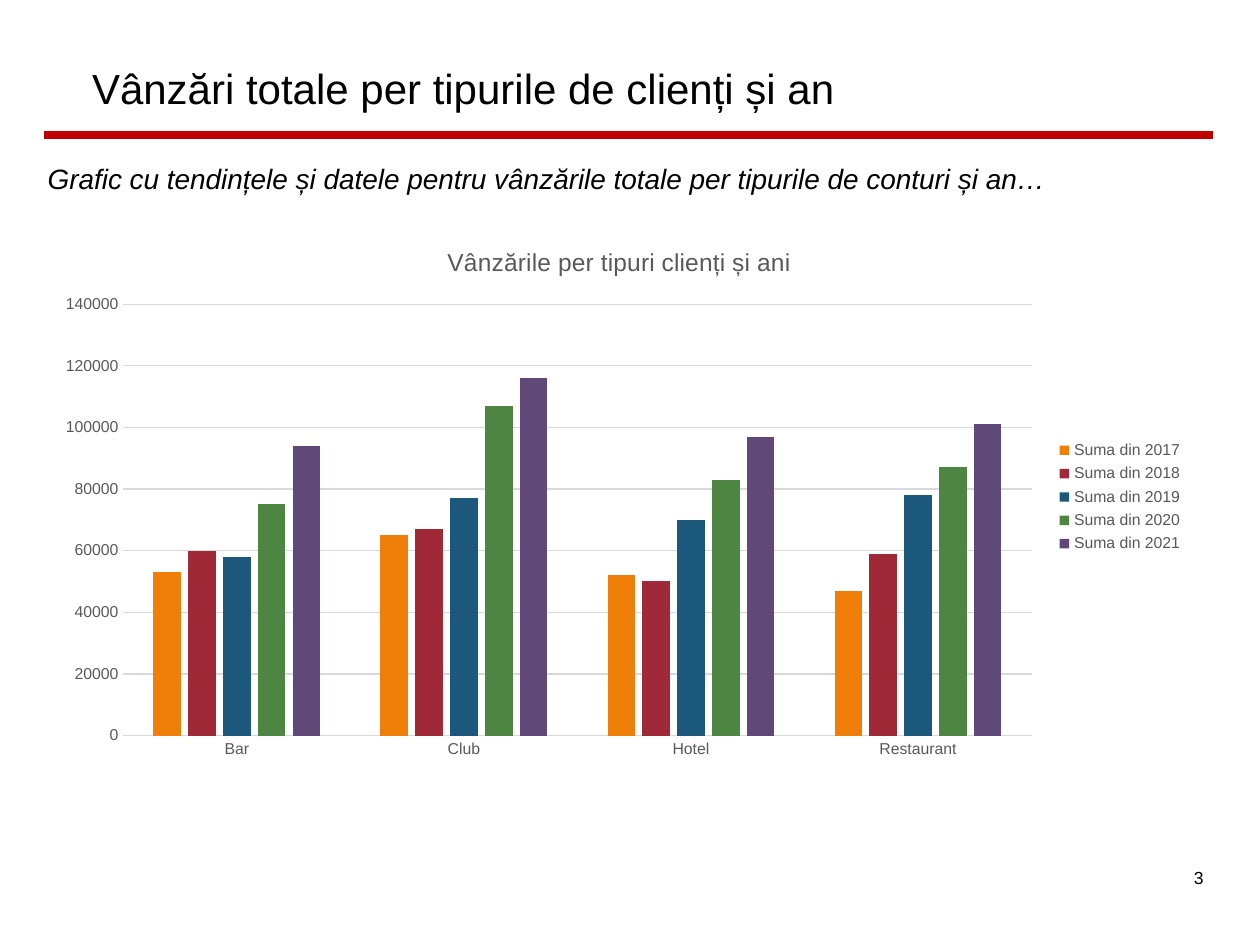
import pptx
import pptx.chart.data
import pptx.dml.color
import pptx.enum.chart
import pptx.enum.shapes
import pptx.enum.text
import pptx.oxml
import pptx.util
from pptx.util import Inches

FONT = "Arial"
BLACK, GREY, GRID_GREY, RED = "000000", "595959", "D9D9D9", "C00000"

CLIENT_TYPES = ["Bar", "Club", "Hotel", "Restaurant"]
# year: (bar colour, sales per client type)
SALES = {
    2017: ("F07F09", (53000, 65000, 52000, 47000)),
    2018: ("9F2936", (60000, 67000, 50000, 59000)),
    2019: ("1B587C", (58000, 77000, 70000, 78000)),
    2020: ("4E8542", (75000, 107000, 83000, 87000)),
    2021: ("604878", (94000, 116000, 97000, 101000)),
}


def color(hex_value):
    return pptx.dml.color.RGBColor.from_string(hex_value)


def set_values(target, values):
    for name, value in values.items():
        setattr(target, name, value)


def format_font(font, size, hex_value, **values):
    set_values(font, {"name": FONT, "size": pptx.util.Pt(size), **values})
    font.color.rgb = color(hex_value)


def format_line(line, hex_value, width):
    line.color.rgb = color(hex_value)
    line.width = pptx.util.Pt(width)


def add_text(slide, box, text, size, frame_values=None, alignment=None, italic=False):
    shape = slide.shapes.add_textbox(*map(Inches, box))
    set_values(shape.text_frame, {"word_wrap": True, **(frame_values or {})})
    paragraph = shape.text_frame.paragraphs[0]
    paragraph.alignment = alignment
    run = paragraph.add_run()
    run.text = text
    format_font(run.font, size, BLACK, italic=italic)


def add_rule(slide, left, right, top):
    rule = slide.shapes.add_connector(
        pptx.enum.shapes.MSO_CONNECTOR.STRAIGHT,
        Inches(left), Inches(top), Inches(right), Inches(top))
    format_line(rule.line, RED, 4.5)
    # An empty effect list removes the theme shadow
    properties = rule.element.spPr
    properties.append(properties.makeelement(pptx.oxml.ns.qn("a:effectLst"), {}))


def format_axis(axis):
    set_values(axis, {
        "major_tick_mark": pptx.enum.chart.XL_TICK_MARK.NONE,
        "minor_tick_mark": pptx.enum.chart.XL_TICK_MARK.NONE,
    })
    format_font(axis.tick_labels.font, 9, GREY)


def add_sales_chart(slide, box, title):
    data = pptx.chart.data.CategoryChartData()
    data.categories = CLIENT_TYPES
    for year, (_, values) in SALES.items():
        data.add_series(f"Suma din {year}", values)
    chart = slide.shapes.add_chart(
        pptx.enum.chart.XL_CHART_TYPE.COLUMN_CLUSTERED,
        *map(Inches, box), data).chart
    format_font(chart.font, 10, BLACK)

    # Title
    chart.has_title = True
    title_frame = chart.chart_title.text_frame
    title_frame.text = title
    format_font(title_frame.paragraphs[0].runs[0].font, 14, GREY, bold=False)

    # Columns
    plot = chart.plots[0]
    set_values(plot, {"gap_width": 219, "overlap": -27, "vary_by_categories": False})
    for series, (hex_value, _) in zip(plot.series, SALES.values()):
        series.format.fill.solid()
        series.format.fill.fore_color.rgb = color(hex_value)

    # Axes
    format_axis(chart.category_axis)
    format_line(chart.category_axis.format.line, GRID_GREY, 0.75)
    value_axis = chart.value_axis
    format_axis(value_axis)
    set_values(value_axis, {"minimum_scale": 0, "maximum_scale": 140000,
                            "major_unit": 20000, "has_major_gridlines": True})
    value_axis.format.line.fill.background()
    format_line(value_axis.major_gridlines.format.line, GRID_GREY, 0.75)

    # Legend
    chart.has_legend = True
    set_values(chart.legend, {
        "position": pptx.enum.chart.XL_LEGEND_POSITION.RIGHT,
        "include_in_layout": False,
    })
    format_font(chart.legend.font, 9, GREY)


def main():
    presentation = pptx.Presentation()
    set_values(presentation, {"slide_width": Inches(10), "slide_height": Inches(7.5)})
    slide = presentation.slides.add_slide(presentation.slide_layouts[6])

    # Page number and red rule
    add_text(slide, (7, 6.83, 2.65, 0.52), "3", 10,
             alignment=pptx.enum.text.PP_ALIGN.RIGHT)
    add_rule(slide, 0.35, 9.63, 1.07)

    # Heading and introduction
    add_text(slide, (0.34, 0.23, 9.29, 0.94),
             "Vânzări totale per tipurile de clienți și an", 24,
             {"vertical_anchor": pptx.enum.text.MSO_ANCHOR.MIDDLE,
              "margin_left": Inches(0.39)})
    add_text(slide, (0.28, 1.23, 9.04, 0.37),
             "Grafic cu tendințele și datele pentru vânzările totale "
             "per tipurile de conturi și an…", 16,
             {"auto_size": pptx.enum.text.MSO_AUTO_SIZE.SHAPE_TO_FIT_TEXT},
             italic=True)

    # Sales by client type and year
    add_sales_chart(slide, (0.34, 1.78, 9.15, 4.33),
                    "Vânzările per tipuri clienți și ani")

    presentation.save("out.pptx")


if __name__ == "__main__":
    main()
